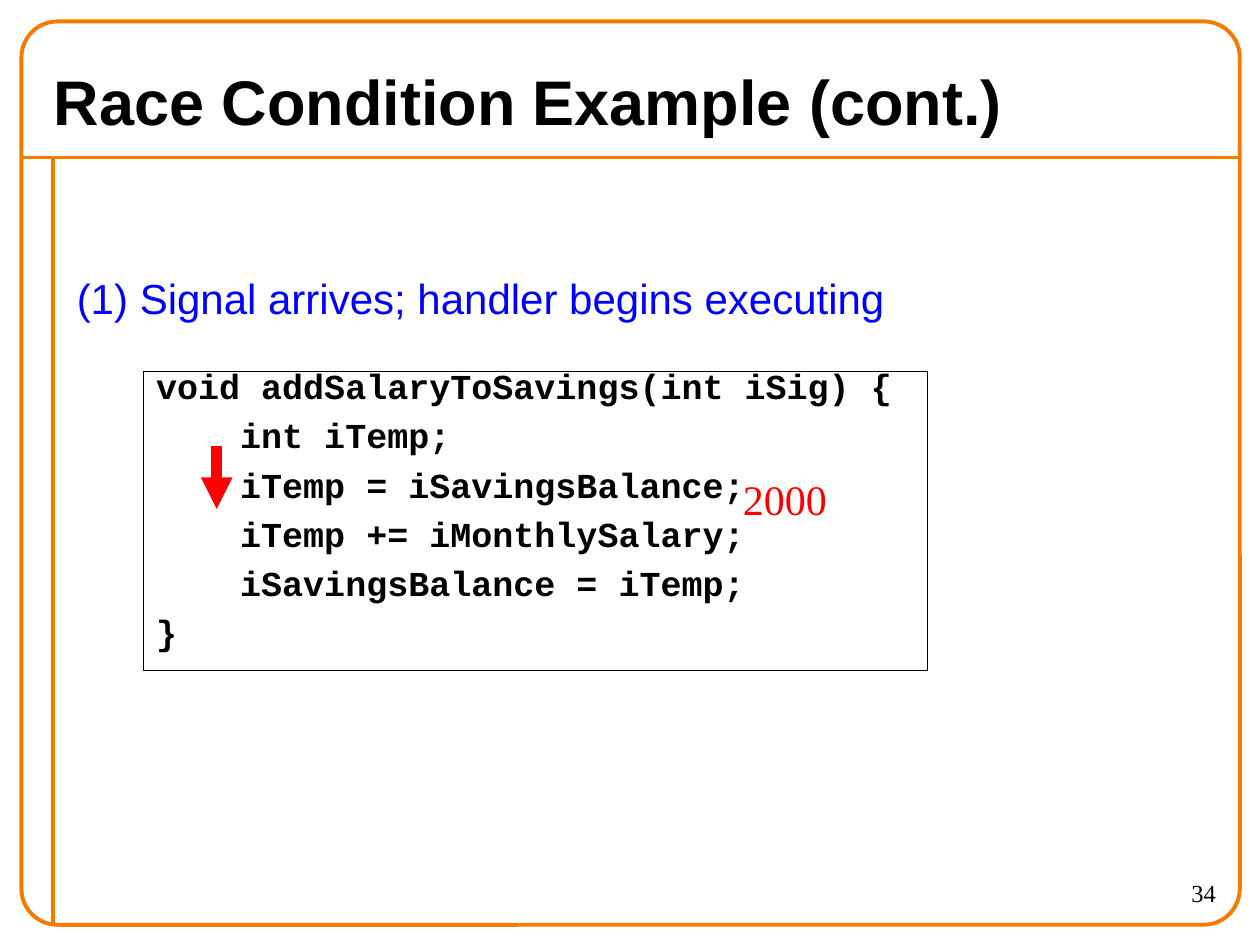
from dataclasses import dataclass

from lxml.etree import SubElement
from pptx import Presentation
from pptx.dml.color import RGBColor as Color
from pptx.enum.shapes import MSO_CONNECTOR as Connector, MSO_SHAPE as Preset
from pptx.enum.text import MSO_ANCHOR as Anchor, MSO_AUTO_SIZE as AutoSize, PP_ALIGN as Align
from pptx.oxml.ns import qn
from pptx.util import Inches, Pt


@dataclass(frozen=True)
class Theme:
    orange: Color = Color(0xF4, 0x7A, 0x00)
    black: Color = Color(0, 0, 0)
    white: Color = Color(255, 255, 255)
    red: Color = Color(255, 0, 0)
    blue: Color = Color(0, 0, 255)
    sans: str = "Arial"
    serif: str = "Times New Roman"
    mono: str = "Courier New"
    title_size: float = 36
    body_size: float = 24
    code_size: float = 20
    number_size: float = 14
    frame_width: float = 2.25
    box_width: float = 0.75
    arrow_width: float = 6


THEME = Theme()


@dataclass(frozen=True)
class Style:
    font: str
    size: float
    color: Color
    bold: bool = False


@dataclass(frozen=True)
class Label:
    text: str
    box: tuple[float, float, float, float]
    style: Style
    align: Align = Align.LEFT
    anchor: Anchor = Anchor.TOP
    wrap: bool = True


@dataclass(frozen=True)
class Stroke:
    start: tuple[float, float]
    end: tuple[float, float]
    color: Color
    width: float
    arrow: bool = False


CODE_STYLE = Style(THEME.mono, THEME.code_size, THEME.black, True)
CODE_LINES = (
    "void addSalaryToSavings(int iSig) {",
    "    int iTemp;",
    "    iTemp = iSavingsBalance;",
    "    iTemp += iMonthlySalary;",
    "    iSavingsBalance = iTemp;",
    "}",
)
FRAME_STROKES = (
    Stroke((0.17, 1.25), (9.83, 1.25), THEME.orange, THEME.frame_width),
    Stroke((0.42, 1.25), (0.42, 7.33), THEME.orange, THEME.frame_width),
)
EXECUTION_ARROW = Stroke((1.72, 3.54), (1.72, 4.04), THEME.red, THEME.arrow_width, True)
TITLE = Label("Race Condition Example (cont.)", (0.33, 0.42, 8.82, 0.75),
              Style(THEME.sans, THEME.title_size, THEME.black, True), anchor=Anchor.MIDDLE)
LABELS = (
    Label("2000", (5.78, 3.71, 0.9, 0.5),
          Style(THEME.serif, THEME.body_size, THEME.red), Align.CENTER, wrap=False),
    Label("(1) Signal arrives; handler begins executing", (0.51, 2.11, 6.61, 0.5),
          Style(THEME.sans, THEME.body_size, THEME.blue), Align.CENTER, wrap=False),
    Label("34", (8.75, 6.92, 1, 0.42),
          Style(THEME.serif, THEME.number_size, THEME.black), Align.RIGHT),
)


def add_run(paragraph, text: str, style: Style) -> None:
    run = paragraph.add_run()
    run.text = text
    run.font.name = style.font
    run.font.size = Pt(style.size)
    run.font.bold = style.bold
    run.font.color.rgb = style.color


def draw_label(slide, label: Label) -> None:
    frame = slide.shapes.add_textbox(*map(Inches, label.box)).text_frame
    frame.word_wrap = label.wrap
    frame.auto_size = AutoSize.NONE if label.wrap else AutoSize.SHAPE_TO_FIT_TEXT
    frame.vertical_anchor = label.anchor
    paragraph = frame.paragraphs[0]
    paragraph.alignment = label.align
    add_run(paragraph, label.text, label.style)


def draw_stroke(slide, stroke: Stroke) -> None:
    connector = slide.shapes.add_connector(
        Connector.STRAIGHT, *map(Inches, stroke.start + stroke.end))
    connector.line.color.rgb = stroke.color
    connector.line.width = Pt(stroke.width)
    if stroke.arrow:
        SubElement(connector.line._get_or_add_ln(), qn("a:tailEnd"), type="triangle")
    SubElement(connector._element.spPr, qn("a:effectLst"))


def draw_border(slide) -> None:
    border = slide.shapes.add_shape(
        Preset.ROUNDED_RECTANGLE, *map(Inches, (0.17, 0.17, 9.67, 7.17)))
    border.adjustments[0] = 0.04
    border.shadow.inherit = False
    border.fill.background()
    border.line.color.rgb = THEME.orange
    border.line.width = Pt(THEME.frame_width)


def draw_code(slide) -> None:
    shape = slide.shapes.add_shape(
        Preset.RECTANGLE, *map(Inches, (1.14, 2.95, 6.22, 2.37)))
    shape.shadow.inherit = False
    shape.fill.solid()
    shape.fill.fore_color.rgb = THEME.white
    shape.line.color.rgb = THEME.black
    shape.line.width = Pt(THEME.box_width)
    frame = shape.text_frame
    frame.word_wrap = True
    frame.vertical_anchor = Anchor.TOP
    for index, text in enumerate(CODE_LINES):
        paragraph = frame.add_paragraph() if index else frame.paragraphs[0]
        paragraph.alignment = Align.LEFT
        paragraph.line_spacing = 0.65
        if index:
            paragraph.space_before = Pt(12.5)
        properties = paragraph._p.get_or_add_pPr()
        properties.set("marL", str(Inches(0.24)))
        properties.set("indent", str(Inches(-0.24)))
        add_run(paragraph, text, CODE_STYLE)


def main() -> None:
    presentation = Presentation()
    presentation.slide_width = Inches(10)
    presentation.slide_height = Inches(7.5)
    slide = presentation.slides.add_slide(presentation.slide_layouts[6])
    for stroke in FRAME_STROKES:
        draw_stroke(slide, stroke)
    draw_border(slide)
    draw_label(slide, TITLE)
    draw_code(slide)
    draw_stroke(slide, EXECUTION_ARROW)
    for label in LABELS:
        draw_label(slide, label)
    presentation.save("out.pptx")


if __name__ == "__main__":
    main()
